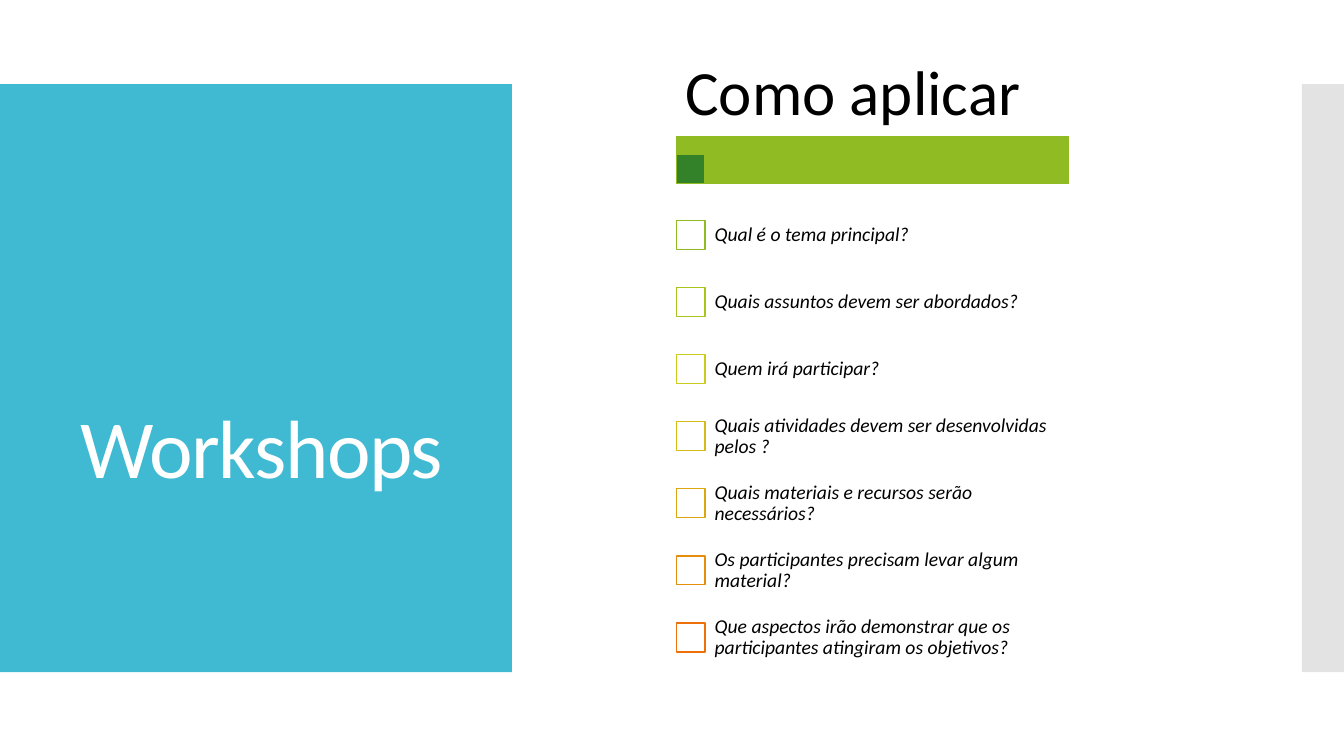
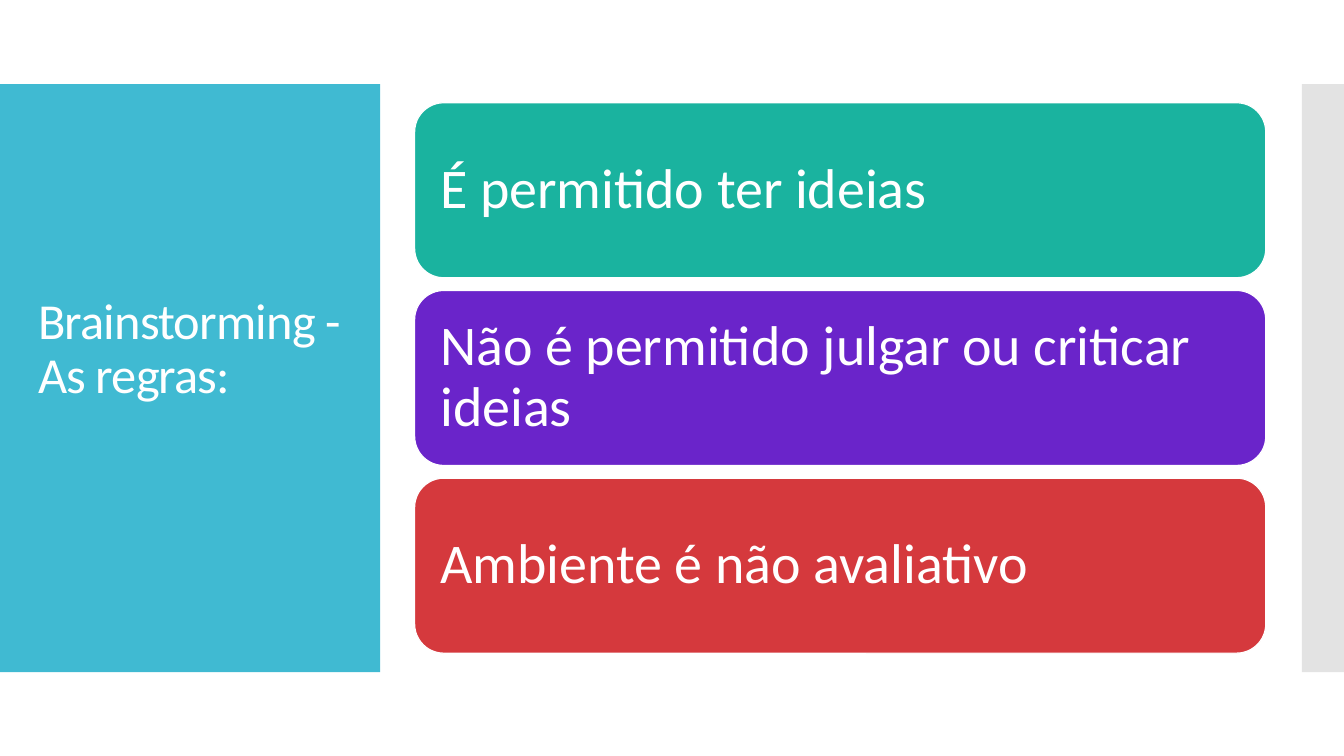
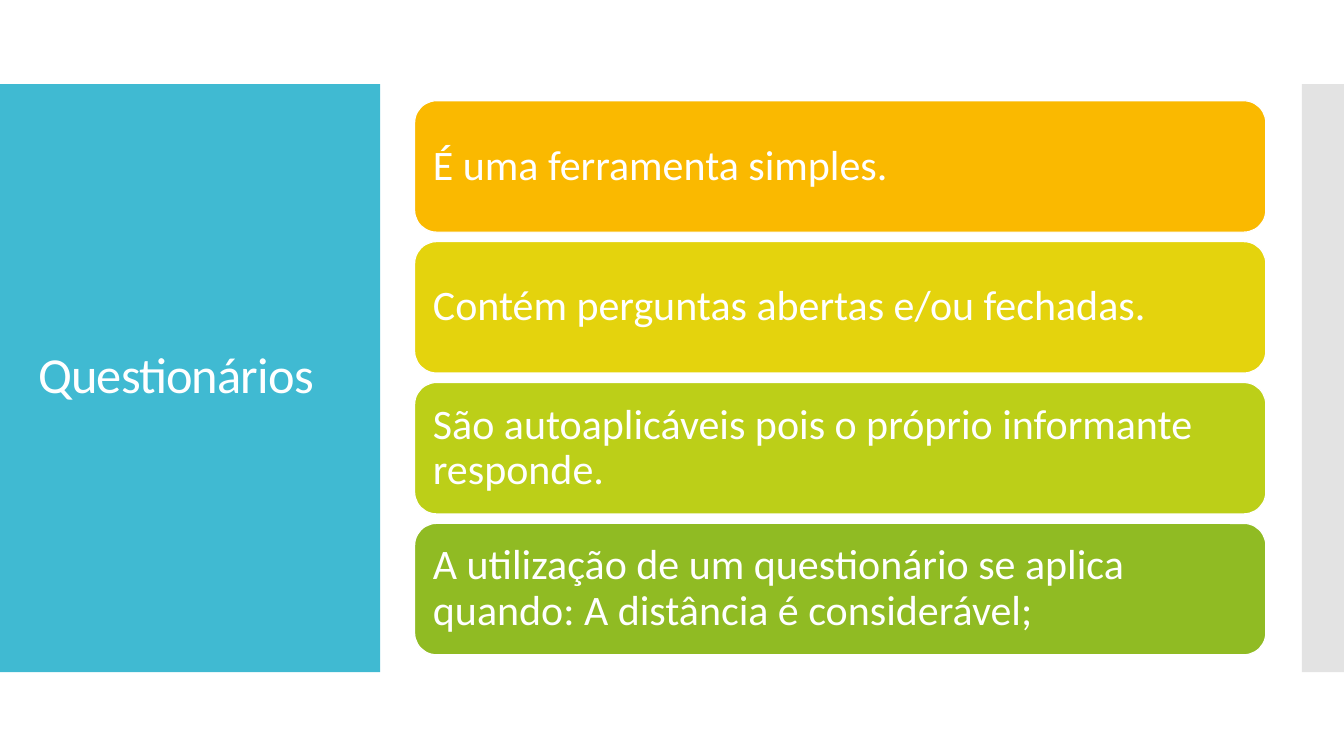
from dataclasses import dataclass

from pptx import Presentation
from pptx.dml.color import RGBColor
from pptx.enum.shapes import MSO_SHAPE as Shape
from pptx.enum.text import MSO_ANCHOR as Anchor, PP_ALIGN as Align
from pptx.util import Cm, Pt


@dataclass(frozen=True)
class Theme:
    font: str = "Calibri"
    white: str = "FFFFFF"
    black: str = "000000"
    panel: str = "40BAD2"
    edge: str = "E3E3E3"
    green: str = "90BB23"
    dark_green: str = "338229"
    teal: str = "1AB39F"
    purple: str = "6A24CA"
    red: str = "D5393D"
    amber: str = "FAB900"
    yellow: str = "E4D30D"
    lime: str = "BCCF18"
    opening_size: float = 59
    title_size: float = 36
    heading_size: float = 45
    question_size: float = 14
    outline: float = 0.85


THEME = Theme()
SLIDE_WIDTH, SLIDE_HEIGHT = 33.87, 19.05
BAND_TOP, BAND_HEIGHT = 2.12, 14.82
EDGE_WIDTH = 1.06
PANEL_WIDTH = 9.58
CARD_LEFT, CARD_WIDTH = 10.45, 21.45
LIST_LEFT, LIST_WIDTH = 17.04, 9.88
CHECKBOX = 0.73


def add_block(slide, box, fill, line=None, kind=Shape.RECTANGLE):
    block = slide.shapes.add_shape(kind, *map(Cm, box))
    block.shadow.inherit = False
    block.fill.solid()
    block.fill.fore_color.rgb = RGBColor.from_string(fill)
    if line:
        block.line.color.rgb = RGBColor.from_string(line)
        block.line.width = Pt(THEME.outline)
    else:
        block.line.fill.background()
    return block


def write(shape, text, size, color, inset=(0.25, 0.13), anchor=Anchor.MIDDLE,
          italic=False, tracking=0):
    """Fill a shape with one left-aligned paragraph; tracking is in points."""
    frame = shape.text_frame
    frame.text = text
    frame.word_wrap = True
    frame.vertical_anchor = anchor
    frame.margin_left = frame.margin_right = Cm(inset[0])
    frame.margin_top = frame.margin_bottom = Cm(inset[1])
    paragraph = frame.paragraphs[0]
    paragraph.alignment = Align.LEFT
    paragraph.line_spacing = 0.9
    run = paragraph.runs[0]
    run.font.name = THEME.font
    run.font.size = Pt(size)
    run.font.italic = italic
    run.font.color.rgb = RGBColor.from_string(color)
    if tracking:
        run.font._element.set("spc", str(round(tracking * 100)))


def add_label(slide, box, text, size, color, **style):
    write(slide.shapes.add_textbox(*map(Cm, box)), text, size, color, **style)


def add_framed_slide(deck, panel_width=PANEL_WIDTH):
    """Add a slide with the title panel at left and the grey edge at right."""
    slide = deck.slides.add_slide(deck.slide_layouts[6])
    add_block(slide, (0, BAND_TOP, panel_width, BAND_HEIGHT), THEME.panel)
    add_block(slide, (SLIDE_WIDTH - EDGE_WIDTH, BAND_TOP, EDGE_WIDTH, BAND_HEIGHT),
              THEME.edge)
    return slide


def add_side_title(slide, text, top=3.12):
    add_label(slide, (0.71, top, 8.2, 12.78), text, THEME.title_size, THEME.white,
              tracking=-0.6)


def add_cards(slide, cards, top, height, gap, size, inset):
    for index, (text, color) in enumerate(cards):
        box = (CARD_LEFT, top + index * (height + gap), CARD_WIDTH, height)
        card = add_block(slide, box, color, THEME.white, Shape.ROUNDED_RECTANGLE)
        write(card, text, size, THEME.white, inset=(inset, inset))


def add_checklist(slide, questions, top=5.08, pitch=1.69):
    text_left = LIST_LEFT + 0.69
    text_width = LIST_LEFT + LIST_WIDTH - text_left
    for index, (question, color) in enumerate(questions):
        row_top = top + index * pitch
        box_top = row_top + (pitch - CHECKBOX) / 2
        add_block(slide, (LIST_LEFT, box_top, CHECKBOX, CHECKBOX), THEME.white, color)
        add_label(slide, (text_left, row_top, text_width, pitch), question,
                  THEME.question_size, THEME.black, inset=(0.28, 0.28), italic=True)


def build_workshops(deck):
    slide = add_framed_slide(deck, panel_width=12.9)
    add_label(slide, (1.78, 3.61, 10.24, 9.04), "Workshops", THEME.opening_size,
              THEME.white, anchor=Anchor.BOTTOM, tracking=-1)
    bar_top, bar_height = 3.45, 1.17
    add_block(slide, (LIST_LEFT, bar_top, LIST_WIDTH, bar_height),
              THEME.green, THEME.green)
    add_block(slide, (LIST_LEFT, bar_top + bar_height - CHECKBOX, CHECKBOX, CHECKBOX),
              THEME.dark_green, THEME.green)
    add_label(slide, (LIST_LEFT, 1.35, LIST_WIDTH, 2.1), "Como aplicar",
              THEME.heading_size, THEME.black, inset=(0.23, 0.15))
    add_checklist(slide, [
        ("Qual é o tema principal?", THEME.green),
        ("Quais assuntos devem ser abordados?", "ABC31F"),
        ("Quem irá participar?", "CACB1B"),
        ("Quais atividades devem ser desenvolvidas pelos ?", "D4BB16"),
        ("Quais materiais e recursos serão necessários?", "DCA512"),
        ("Os participantes precisam levar algum material?", "E58D0D"),
        ("Que aspectos irão demonstrar que os participantes atingiram os objetivos?",
         "EE7008"),
    ])


def build_brainstorming(deck):
    slide = add_framed_slide(deck)
    add_side_title(slide, "Brainstorming - As regras:", top=2.43)
    add_cards(slide, [
        ("É permitido ter ideias", THEME.teal),
        ("Não é permitido julgar ou criticar ideias", THEME.purple),
        ("Ambiente é não avaliativo", THEME.red),
    ], top=2.59, height=4.41, gap=0.32, size=40, inset=0.43)


def build_questionnaires(deck):
    slide = add_framed_slide(deck)
    add_side_title(slide, "Questionários")
    add_cards(slide, [
        ("É uma ferramenta simples.", THEME.amber),
        ("Contém perguntas abertas e/ou fechadas.", THEME.yellow),
        ("São autoaplicáveis pois o próprio informante responde.", THEME.lime),
        ("A utilização de um questionário se aplica quando: A distância é considerável;",
         THEME.green),
    ], top=2.54, height=3.31, gap=0.24, size=30, inset=0.3)


def main():
    deck = Presentation()
    deck.slide_width, deck.slide_height = Cm(SLIDE_WIDTH), Cm(SLIDE_HEIGHT)
    build_workshops(deck)
    build_brainstorming(deck)
    build_questionnaires(deck)
    deck.save("out.pptx")


if __name__ == "__main__":
    main()
